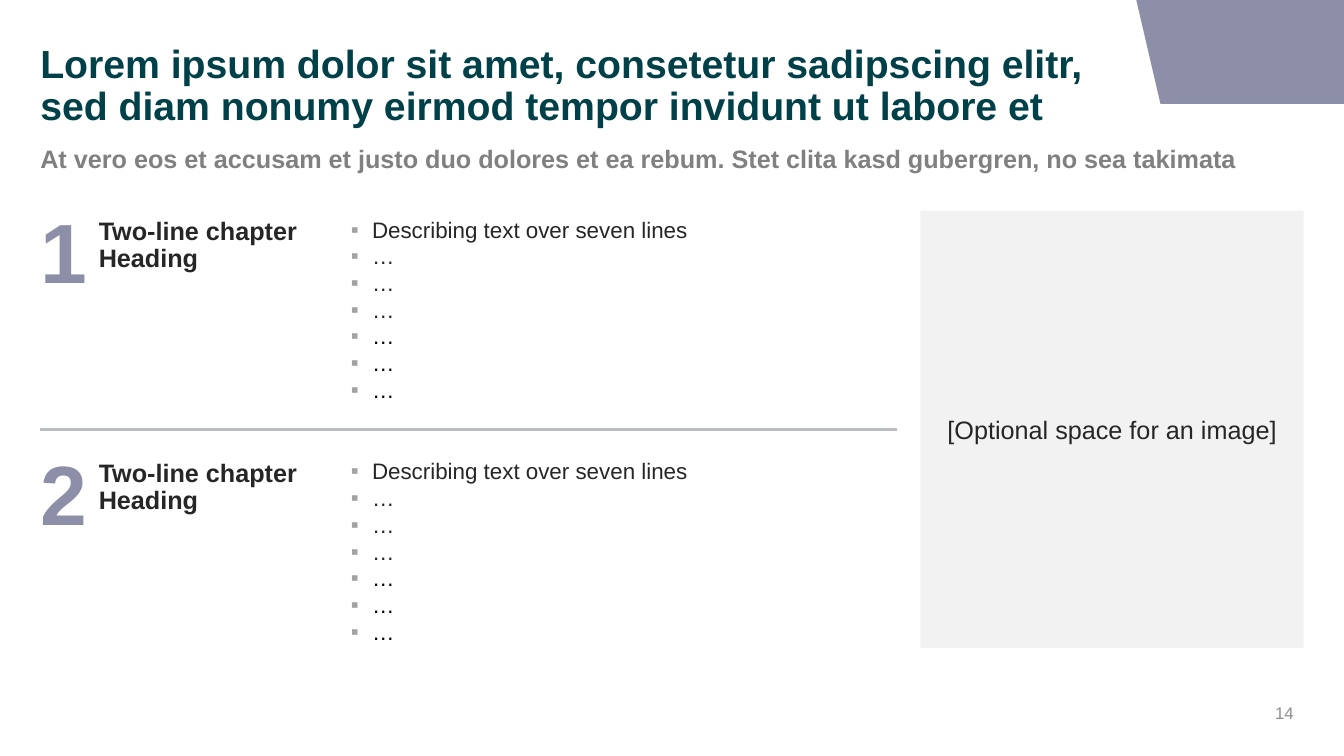
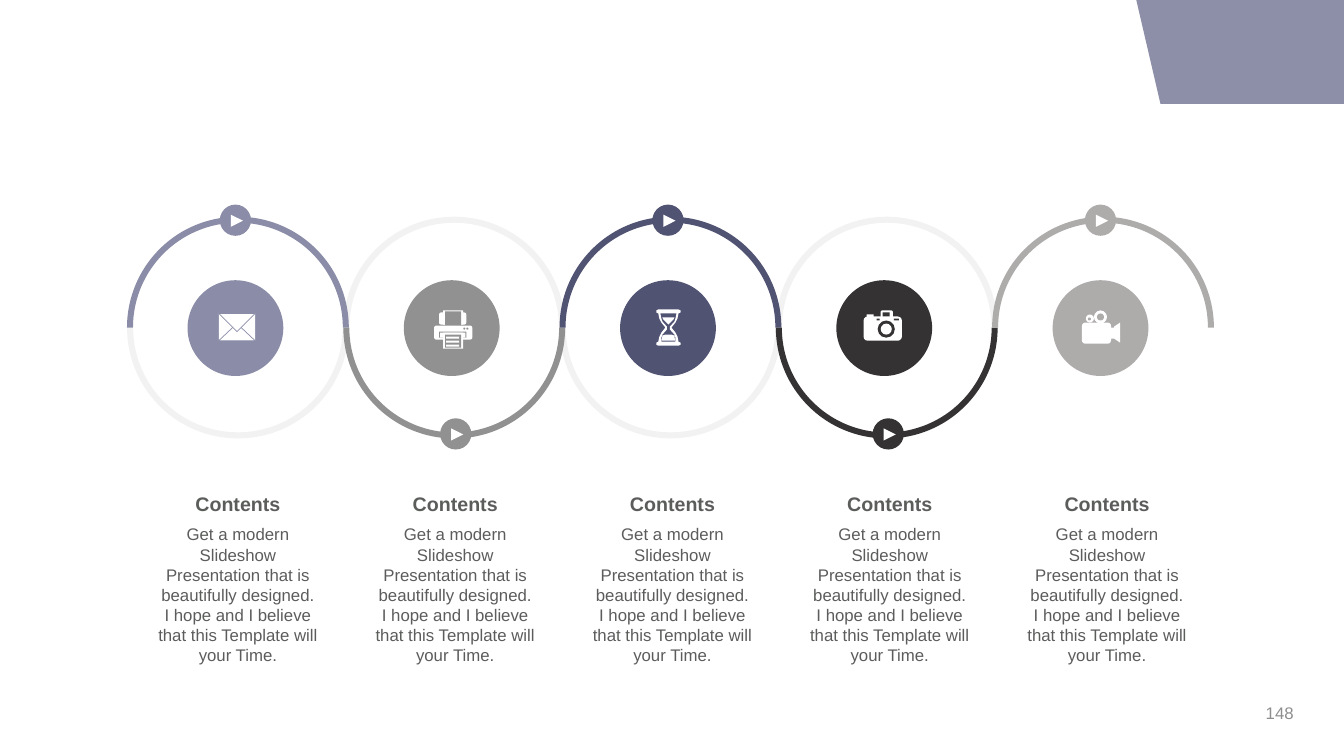
import math

from lxml import etree
from pptx import Presentation, util as u
from pptx.dml.color import RGBColor
from pptx.enum import shapes, text
from pptx.oxml.ns import qn

rgb = RGBColor.from_string
G = shapes.MSO_SHAPE
LEFT, CENTER, RIGHT = text.PP_ALIGN.LEFT, text.PP_ALIGN.CENTER, text.PP_ALIGN.RIGHT
TOP, MIDDLE = text.MSO_ANCHOR.TOP, text.MSO_ANCHOR.MIDDLE

LILAC, WHITE, PALE = "8D8EA8", "FFFFFF", "F2F2F2"
INK, BODY, PAGE_GREY = "252625", "5B5D5B", "8E8E8E"
MARGIN = 0.4


def draw(parent, kind, x, y, w, h, fill, outline=None, rot=0):
    """Add a flat preset, or a freeform whose contours count in units of w and h."""
    if isinstance(kind, list):
        contours = [[(u.Inches(x + px * w), u.Inches(y + py * h)) for px, py in c]
                    for c in kind]
        fb = parent.build_freeform(*contours[0][0])
        for c in contours:
            fb.move_to(*c[0])
            fb.add_line_segments(c[1:])
        sp = fb.convert_to_shape()
    else:
        sp = parent.add_shape(kind, *map(u.Inches, (x, y, w, h)))
    sp.shadow.inherit = False
    sp.rotation = rot
    sp.fill.solid()
    sp.fill.fore_color.rgb = rgb(fill)
    if outline:
        sp.line.color.rgb = rgb(outline)
        sp.line.width = u.Pt(0.5)
    else:
        sp.line.fill.background()
    return sp


def write(sp, words, size, color, bold=False, align=LEFT, anchor=TOP,
          inset=(0, 0), spacing=None):
    """Fill a shape or text box with evenly styled paragraphs."""
    tf = sp.text_frame
    tf.word_wrap = True
    tf.vertical_anchor = anchor
    tf.margin_left = tf.margin_right = u.Inches(inset[0])
    tf.margin_top = tf.margin_bottom = u.Inches(inset[1])
    tf.text = words
    for p in tf.paragraphs:
        p.alignment = align
        p.line_spacing = spacing
        for r in p.runs:
            r.font.name, r.font.size, r.font.bold = "Arial", u.Pt(size), bold
            r.font.color.rgb = rgb(color)
    return tf


prs = Presentation()
prs.slide_width, prs.slide_height = u.Inches(13.33), u.Inches(7.5)

# Shared corner band and page number
band = [[(11.27, 0), (13.33, 0), (13.33, 1.03), (11.51, 1.03)]]
for page in ("14", "148"):
    s = prs.slides.add_slide(prs.slide_layouts[6])
    draw(s.shapes, band, 0, 0, 1, 1, LILAC)
    box = s.shapes.add_textbox(*map(u.Inches, (9.93, 6.95, 3, 0.24)))
    write(box, page, 12, PAGE_GREY, align=RIGHT, anchor=MIDDLE, inset=(0.1, 0.05))

chapters, process = prs.slides

# Chapters: title, subtitle
for at, words, size, color, spacing in (
    ((MARGIN, 0.44, 10.87, 0.87), "Lorem ipsum dolor sit amet, consetetur sadipscing elitr, "
     "sed diam nonumy eirmod tempor invidunt ut labore et", 28, "004149", 0.9),
    ((MARGIN, 1.42, 12.54, 0.34), "At vero eos et accusam et justo duo dolores et ea rebum. "
     "Stet clita kasd gubergren, no sea takimata", 18, "808080", None),
):
    box = chapters.shapes.add_textbox(*map(u.Inches, at))
    write(box, words, size, color, bold=True, spacing=spacing)

# Chapters: two numbered rows
bullets = "\n".join(["Describing text over seven lines"] + ["…"] * 6)
for row in range(2):
    top = 2.09 + 2.4 * row
    for x, dy, w, h, words, size, color, bold in (
        (MARGIN, 0, 0.4, 0.91, str(row + 1), 60, "8D8EA7", True),
        (0.98, 0.08, 2.27, 0.55, "Two-line chapter Heading", 18, INK, True),
        (3.48, 0.08, 5.42, 1.86, bullets, 16, INK, False),
    ):
        box = chapters.shapes.add_textbox(*map(u.Inches, (x, top + dy, w, h)))
        tf = write(box, words, size, color, bold, spacing=0.9)
    # The last box of the row carries the bullets
    for i, p in enumerate(tf.paragraphs):
        p.space_before = u.Pt(1.8 if i else 0)
        pPr = p._p.get_or_add_pPr()
        pPr.set("marL", str(u.Inches(0.21)))
        pPr.set("indent", str(-u.Inches(0.21)))
        clr = etree.SubElement(pPr, qn("a:buClr"))
        etree.SubElement(clr, qn("a:srgbClr"), val="A2A2A2")
        etree.SubElement(pPr, qn("a:buFont"), typeface="Arial")
        etree.SubElement(pPr, qn("a:buChar"), char="▪")
        if i > 3:
            p.runs[0].font.color.rgb = rgb("000000")

# Chapters: divider and image area
rule = chapters.shapes.add_connector(
    shapes.MSO_CONNECTOR.STRAIGHT, *map(u.Inches, (MARGIN, 4.26, 8.9, 4.26)))
rule.line.color.rgb = rgb("BBBEC2")
rule.line.width = u.Pt(1.75)
etree.SubElement(rule._element.spPr, qn("a:effectLst"))
area = draw(chapters.shapes, G.RECTANGLE, 9.13, 2.09, 3.8, 4.34, PALE)
write(area, "[Optional space for an image]", 18, INK, align=CENTER, anchor=MIDDLE,
      inset=(0.1, 0.05))

# Process: icon parts in hundredths of an inch from the icon's centre;
# w = white, d = disc colour, o = white with a disc-coloured outline
R, RR, E = G.RECTANGLE, G.ROUNDED_RECTANGLE, G.OVAL
UP, DOWN = G.FLOWCHART_EXTRACT, G.FLOWCHART_MERGE
envelope = [(R, -18, -14, 36, 27, "w"), (UP, -18, -4, 36, 17, "o"),
            (DOWN, -18, -14, 36, 18, "o")]
printer = [(RR, -14, -15, 27, 12, "w"), (R, -10, -17, 20, 14, "w"),
           (R, -8, -16, 16, 14, "d"), (RR, -19, -2, 38, 14, "w"),
           (R, -14, 4, 27, 6, "d"), (R, -13, 5, 25, 5, "w"),
           (R, -10, 5, 20, 16, "w"), (R, -8, 7, 16, 13, "d")]
printer += [(R, -7, y, 13, 2, "w") for y in (9, 13, 17)]
printer += [(E, x, 0, 2, 2, "d") for x in (10, 13)]
# Right halves of the hourglass: frame, glass, upper and lower sand
halves = [
    [(10, -18), (12, -17), (12, -15), (10, -14), (9, -9), (7, -5), (3, 0),
     (7, 5), (9, 9), (10, 14), (12, 15), (12, 17), (10, 18)],
    [(8, -14), (7, -9), (6, -6), (1.5, -1), (1.5, 2), (6, 7), (7, 10), (7, 14)],
    [(6, -10), (5, -8), (0, -3)],
    [(6.5, 13), (6, 8), (3, 7)],
]
glass = [half + [(-x, y) for x, y in reversed(half)] for half in halves]
hourglass = [(glass, -1, 0, 1, 1, "w")]
camera = [(RR, -22, -11, 38, 24, "w"), (RR, -5, -17, 12, 8, "w"),
          (R, -3, -15, 7, 4, "d"), (R, -19, -13, 7, 4, "w"),
          (R, -9, -9, 3, 2, "d"), (R, 8, -9, 5, 2, "d"),
          (E, -8, -7, 17, 17, "d"), (E, -5, -4, 11, 11, "w")]
film = [(RR, -20, -5, 29, 21, "w"), (E, -8, -17, 13, 13, "w"),
        (E, -5, -14, 7, 7, "d"), (E, -16, -13, 8, 8, "w"),
        (E, -14, -10, 3, 3, "d"), (R, 9, 0, 3, 11, "w"),
        (G.FLOWCHART_MANUAL_OPERATION, 5, 2, 20, 6, "w", 90)]
steps = [("8B8DA8", envelope), ("919191", printer), ("515373", hourglass),
         ("343232", camera), ("AEABAB", film)]
START, PITCH, ARC_TOP, ARC, BAND = 1.26, 8.58 / 4, 2.15, 2.2, 0.06
TEXT_START, TEXT_PITCH = 1.47, 8.62 / 4

# Process: pale wave, along one edge and back along the other
edges = []
for outer_side in (0, 1):
    edge = []
    for i in range(4):
        radius = ARC / 2 - (BAND if i % 2 != outer_side else 0)
        side = -1 if i % 2 else 1
        for step in range(41):
            angle = math.pi * step / 40
            edge.append((START + ARC / 2 + PITCH * i - radius * math.cos(angle),
                         ARC_TOP + ARC / 2 + side * radius * math.sin(angle)))
    edges.append(edge)
draw(process.shapes, [edges[0] + edges[1][::-1]], 0, 0, 1, 1, PALE)

# Process: half circle, disc, icon, arrow badge and text of each step
for i, (color, icon) in enumerate(steps):
    x = START + PITCH * i
    arc = draw(process.shapes, G.BLOCK_ARC, x, ARC_TOP, ARC, ARC, color, rot=180 * (i % 2))
    for n, value in enumerate((108, 0, 0.027)):
        arc.adjustments[n] = value
    draw(process.shapes, E, x + 0.6, 2.78, 0.95, 0.95, color)
    group = process.shapes.add_group_shape().shapes
    for kind, dx, dy, w, h, tone, *rot in icon:
        draw(group, kind, x + 1.09 + dx / 100, 3.25 + dy / 100, w / 100, h / 100,
             color if tone == "d" else WHITE, color if tone == "o" else None, sum(rot))

    bx, by = (x + 0.96, 4.15) if i % 2 else (x + 0.92, 2.03)
    badge = process.shapes.add_group_shape().shapes
    draw(badge, E, bx, by, 0.31, 0.31, color)
    draw(badge, UP, bx + 0.11, by + 0.1, 0.12, 0.12, WHITE, rot=90)

    for y, h, words, size, bold, side in (
        (4.83, 0.34, "Contents", 14, True, 0.12),
        (5.15, 1.51, "Get a modern Slideshow Presentation that is beautifully designed. "
         "I hope and I believe that this Template will your Time.", 12, False, 0.1),
    ):
        box = process.shapes.add_textbox(
            *map(u.Inches, (TEXT_START + TEXT_PITCH * i, y, 1.78, h)))
        write(box, words, size, BODY, bold, CENTER, inset=(side, 0.05))

prs.save("out.pptx")
